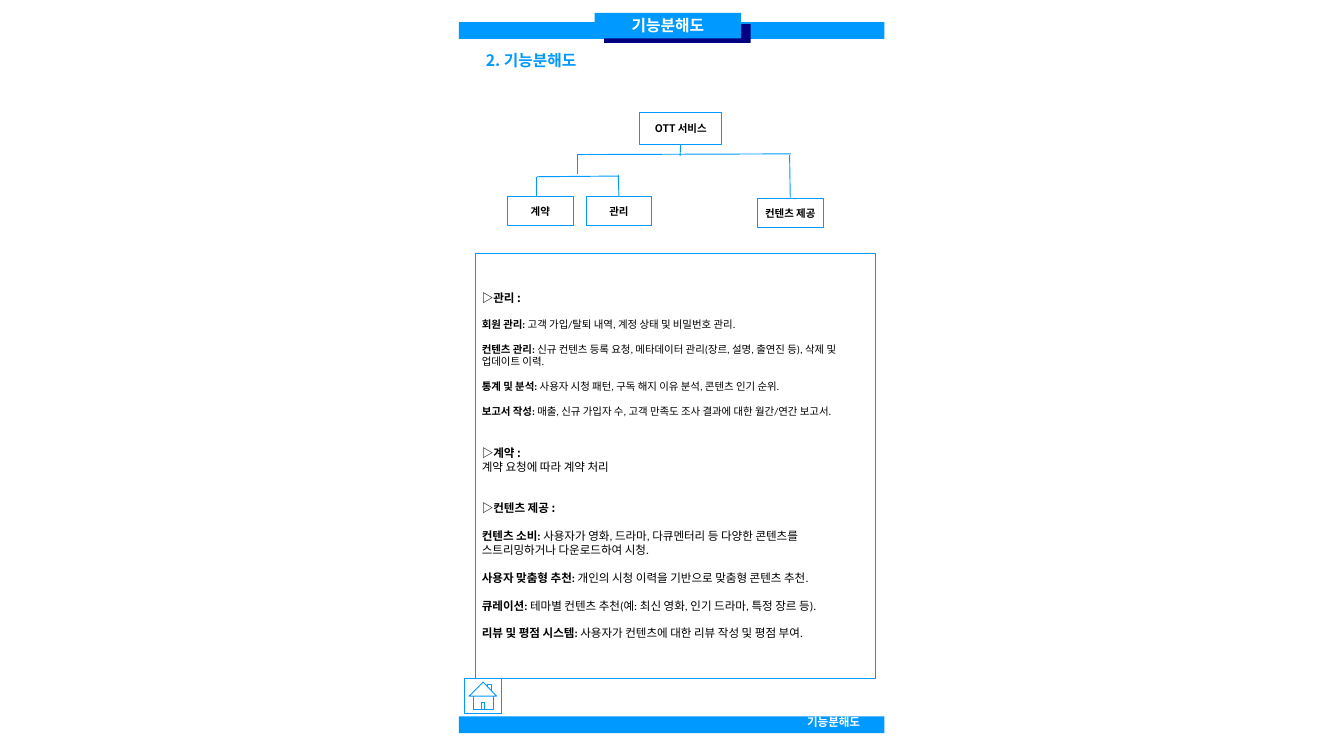
from dataclasses import dataclass

from lxml.etree import SubElement
from pptx import Presentation
from pptx.dml.color import RGBColor
from pptx.enum.shapes import MSO_CONNECTOR, MSO_SHAPE
from pptx.enum.text import MSO_ANCHOR, PP_ALIGN
from pptx.oxml.ns import qn
from pptx.util import Emu, Pt

PX = 9144  # EMU in one px, 100 px to the inch


@dataclass(frozen=True)
class Theme:
    blue: str = "0099FF"
    navy: str = "000080"
    white: str = "FFFFFF"
    black: str = "000000"
    font: str = "Noto Sans CJK KR"
    latin: str = "Calibri"
    heading: float = 16.9
    body: float = 12.4
    small: float = 11.2
    thin: float = 0.75
    line: float = 1
    leading: float = 1.2


T = Theme()

# Content: boxes as (left, top, width, height)
NAME = "기능분해도"
HEADING = "2. 기능분해도"
BARS = [(683, 33, 633, 25), (683, 1066, 633, 25)]
NODES = {
    "OTT 서비스": (952, 167, 122, 48),
    "계약": (755, 292, 98, 44),
    "관리": (872, 292, 98, 44),
    "컨텐츠 제공": (1127, 295, 98, 44),
}
# (x1, y1, x2, y2, node at the start, node at the end)
LINES = [
    (1012, 215, 1012, 232, "OTT 서비스", None),
    (859, 230, 1177, 229, None, None),
    (860, 230, 860, 259, None, None),
    (799, 263, 921, 262, None, None),
    (799, 263, 799, 292, None, None),
    (920, 260, 920, 289, None, "관리"),
    (1175, 231, 1176, 292, None, "컨텐츠 제공"),
]
PANEL = (708, 377, 594, 632)
# (title, plain line, size of the items, items)
SECTIONS = [
    ("▷관리 :", None, T.small, [
        ("회원 관리:", " 고객 가입/탈퇴 내역, 계정 상태 및 비밀번호 관리."),
        ("컨텐츠 관리:", " 신규 컨텐츠 등록 요청, 메타데이터 관리(장르, 설명, 출연진 등), 삭제 및 업데이트 이력."),
        ("통계 및 분석:", " 사용자 시청 패턴, 구독 해지 이유 분석, 콘텐츠 인기 순위."),
        ("보고서 작성:", " 매출, 신규 가입자 수, 고객 만족도 조사 결과에 대한 월간/연간 보고서."),
    ]),
    ("▷계약 :", "계약 요청에 따라 계약 처리", T.body, []),
    ("▷컨텐츠 제공 :", None, T.body, [
        ("컨텐츠 소비:", " 사용자가 영화, 드라마, 다큐멘터리 등 다양한 콘텐츠를 스트리밍하거나 다운로드하여 시청."),
        ("사용자 맞춤형 추천:", " 개인의 시청 이력을 기반으로 맞춤형 콘텐츠 추천."),
        ("큐레이션:", " 테마별 컨텐츠 추천(예: 최신 영화, 인기 드라마, 특정 장르 등)."),
        ("리뷰 및 평점 시스템:", " 사용자가 컨텐츠에 대한 리뷰 작성 및 평점 부여."),
    ]),
]
# Home button: frame, roof, walls, door, chimney
HOME = [
    [(691, 1009), (747, 1009), (747, 1062), (691, 1062)],
    [(719, 1015), (698, 1036), (739, 1036)],
    [(704, 1036), (704, 1056), (734, 1056), (734, 1036)],
    [(716, 1056), (716, 1046), (721, 1046), (721, 1056)],
    [(726, 1023), (726, 1018), (731, 1018), (731, 1028)],
]


def emu(*lengths):
    return [Emu(n * PX) for n in lengths]


def rgb(code):
    return RGBColor.from_string(code)


def add_run(p, text, size=T.body, color=T.black, bold=True, latin=T.font):
    r = p.add_run()
    r.text = text
    f = r.font
    f.size, f.bold, f.name = Pt(size), bold, latin
    f.color.rgb = rgb(color)
    SubElement(f._element, qn("a:ea"), typeface=T.font)


def frame(sp, anchor=MSO_ANCHOR.MIDDLE):
    tf = sp.text_frame
    tf.word_wrap = True
    tf.vertical_anchor = anchor
    tf.margin_left, tf.margin_top, tf.margin_right, tf.margin_bottom = emu(9, 5, 9, 5)
    return tf


def write(sp, text, align=PP_ALIGN.CENTER, anchor=MSO_ANCHOR.MIDDLE, **style):
    p = frame(sp, anchor).paragraphs[0]
    p.alignment = align
    add_run(p, text, **style)


def paint(sp, fill=None):
    sp.shadow.inherit = False
    if fill:
        sp.fill.solid()
        sp.fill.fore_color.rgb = rgb(fill)
        sp.line.fill.background()
    else:
        sp.fill.background()
        sp.line.color.rgb = rgb(T.blue)
        sp.line.width = Pt(T.thin)
    return sp


def add_box(shapes, box, fill=None):
    return paint(shapes.add_shape(MSO_SHAPE.RECTANGLE, *emu(*box)), fill)


def add_line(shapes, points, start=None, end=None):
    c = shapes.add_connector(MSO_CONNECTOR.STRAIGHT, *emu(*points))
    if start is not None:
        c.begin_connect(start, 2)
    if end is not None:
        c.end_connect(end, 0)
    c.line.color.rgb = rgb(T.blue)
    c.line.width = Pt(T.line)
    SubElement(c._element.spPr, qn("a:effectLst"))


def add_home(shapes):
    fb = shapes.build_freeform(*HOME[0][0], scale=PX)
    for i, (first, *rest) in enumerate(HOME):
        if i:
            fb.move_to(*first)
        fb.add_line_segments(rest, close=i < 2)
    paint(fb.convert_to_shape()).line.width = Pt(T.line)


def fill_panel(sp):
    tf = frame(sp)
    used = []

    def paragraph(size, blank_lines):
        p = tf.add_paragraph() if used else tf.paragraphs[0]
        p.alignment = PP_ALIGN.LEFT
        p.line_spacing = Pt(size * T.leading)
        if used:
            p.space_before = Pt(size * T.leading * blank_lines)
        used.append(p)
        return p

    for title, plain, size, items in SECTIONS:
        add_run(paragraph(T.body, 2), title)
        if plain:
            add_run(paragraph(T.body, 0), plain, bold=False)
        for label, text in items:
            p = paragraph(size, 1)
            add_run(p, label, size=size, latin=T.latin)
            add_run(p, text, size=size, latin=T.latin, bold=False)


def main():
    prs = Presentation()
    prs.slide_width, prs.slide_height = emu(2000, 1125)
    s = prs.slides.add_slide(prs.slide_layouts[5])
    shapes = s.shapes

    # Heading
    title = shapes.title
    title.left, title.top, title.width, title.height = emu(714, 71, 392, 38)
    write(title, HEADING, align=PP_ALIGN.LEFT, size=T.heading, color=T.blue)

    # Top and bottom bars with their labels
    for bar in BARS:
        add_box(shapes, bar, T.blue)
    footer = shapes.add_textbox(*emu(1192, 1059, 118, 30))
    write(footer, NAME, align=PP_ALIGN.LEFT, anchor=MSO_ANCHOR.TOP, color=T.white)
    banner = shapes.add_group_shape().shapes
    add_box(banner, (899, 36, 218, 28), T.navy)
    write(add_box(banner, (885, 19, 218, 38), T.blue), NAME, size=T.heading, color=T.white)

    # Home button
    add_home(shapes)

    # Function tree
    nodes = {}
    for name, box in NODES.items():
        nodes[name] = add_box(shapes, box)
        write(nodes[name], name, size=T.small)
    for *points, start, end in LINES:
        add_line(shapes, points, nodes.get(start), nodes.get(end))

    # Description panel
    fill_panel(add_box(shapes, PANEL))

    prs.save("out.pptx")


if __name__ == "__main__":
    main()
